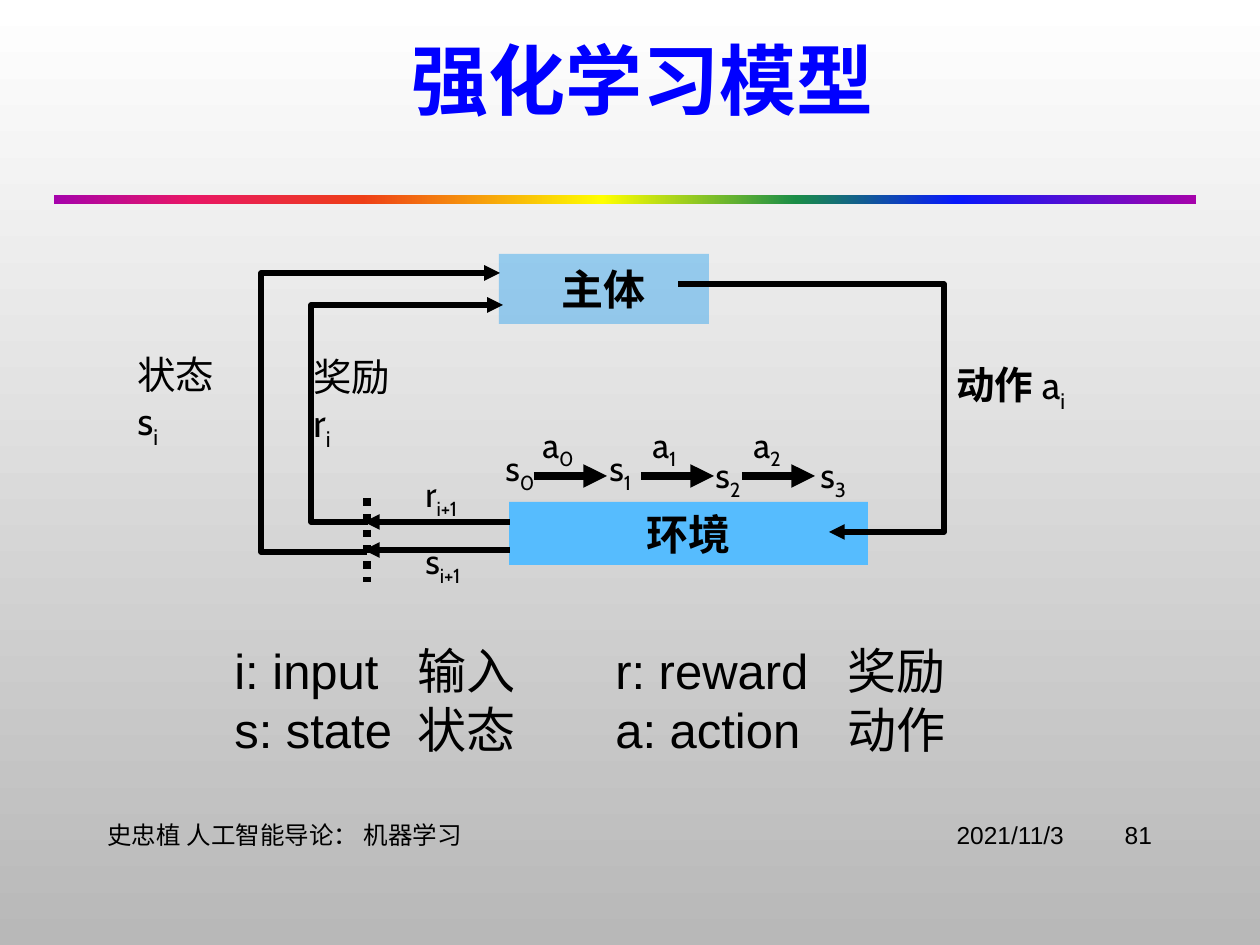
from dataclasses import dataclass

from lxml import etree
from pptx import Presentation
from pptx.dml.color import RGBColor
from pptx.enum.dml import MSO_LINE
from pptx.enum.shapes import MSO_CONNECTOR, MSO_SHAPE
from pptx.enum.text import MSO_ANCHOR, MSO_AUTO_SIZE, PP_ALIGN
from pptx.oxml.ns import qn
from pptx.util import Inches, Pt

RECTANGLE = MSO_SHAPE.RECTANGLE
STRAIGHT = MSO_CONNECTOR.STRAIGHT
DOTTED = MSO_LINE.ROUND_DOT
TOP, MIDDLE = MSO_ANCHOR.TOP, MSO_ANCHOR.MIDDLE
LEFT, CENTER, RIGHT = PP_ALIGN.LEFT, PP_ALIGN.CENTER, PP_ALIGN.RIGHT
FIXED = MSO_AUTO_SIZE.NONE
PX = Inches(1) / 126


def emu(pixels):
    return round(pixels * PX)


@dataclass(frozen=True)
class Theme:
    ink: str = "000000"
    title: str = "0000FF"
    agent: str = "2FA3EE"
    environment: str = "56BCFE"
    backdrop: tuple = ((0, "FFFFFF"), (100, "B8B8B8"))
    rainbow: tuple = ((0, "A603AB"), (12, "E81766"), (27, "EE3F17"), (48, "FFFF00"),
                      (65, "1A8D48"), (79, "0819FB"), (100, "A603AB"))
    heading_font: str = "Noto Sans CJK SC"
    body_font: str = "Arial"
    label_font: str = "Cabin"
    title_size: int = 44
    legend_size: int = 28
    node_size: int = 24
    signal_size: int = 22
    symbol_size: int = 20
    footer_size: int = 14
    thin: float = 3
    thick: float = 4.5


class SlideBuilder:
    """Draws styled elements on the current slide, in pixels."""

    def __init__(self, page, theme):
        self.page = page
        self.theme = theme

    def gradient(self, owner, fill, stops, angle):
        fill.gradient()
        fill.gradient_angle = angle
        stop_list = next(owner.element.iter(qn("a:gsLst")))
        stop_list.clear()
        for position, color in stops:
            stop = etree.SubElement(stop_list, qn("a:gs"), pos=str(position * 1000))
            etree.SubElement(stop, qn("a:srgbClr"), val=color)

    def background(self):
        self.gradient(self.page, self.page.background.fill, self.theme.backdrop, 270)

    def span(self, para, text, size, font, color=None, bold=False, subscript=False):
        span = para.add_run()
        span.text = text
        span.font.size = Pt(size)
        span.font.bold = bold
        span.font.color.rgb = RGBColor.from_string(color or self.theme.ink)
        span.font.name = font
        properties = span.font._element
        etree.SubElement(properties, qn("a:ea"), typeface=self.theme.heading_font)
        if subscript:
            properties.set("baseline", "-25000")

    def title(self, text, left, top, width, height):
        box = self.page.shapes.title
        box.left, box.top, box.width, box.height = map(emu, (left, top, width, height))
        frame = box.text_frame
        frame.auto_size = FIXED
        frame.word_wrap = False
        frame.vertical_anchor = TOP
        para = frame.paragraphs[0]
        para.alignment = LEFT
        self.span(para, text, self.theme.title_size, self.theme.heading_font,
                  self.theme.title, bold=True)

    def text_box(self, left, top, width, height, anchor=TOP, right_inset=13):
        box = self.page.shapes.add_textbox(*map(emu, (left, top, width, height)))
        frame = box.text_frame
        frame.word_wrap = True
        frame.vertical_anchor = anchor
        frame.margin_right = emu(right_inset)
        return frame

    def footer(self, text, left, width, alignment):
        para = self.text_box(left, 810, width, 50, MIDDLE).paragraphs[0]
        para.alignment = alignment
        self.span(para, text, self.theme.footer_size, self.theme.body_font)

    def legend(self, rows, left, top, width, height, stops):
        frame = self.text_box(left, top, width, height)
        for index, row in enumerate(rows):
            para = frame.add_paragraph() if index else frame.paragraphs[0]
            para.alignment = LEFT
            tabs = etree.SubElement(para._p.get_or_add_pPr(), qn("a:tabLst"))
            for stop in stops:
                etree.SubElement(tabs, qn("a:tab"), pos=str(emu(stop)), algn="l")
            self.span(para, "\t".join(row), self.theme.legend_size, self.theme.body_font)

    def label(self, symbol, index, left, top, width, height=54, size=None,
              lead="", right_inset=0):
        size = size or self.theme.symbol_size
        font = self.theme.label_font
        para = self.text_box(left, top, width, height,
                             right_inset=right_inset).paragraphs[0]
        if lead:
            self.span(para, lead, size, font, bold=True)
        self.span(para, symbol, size, font)
        self.span(para, index, size, font, subscript=True)

    def rectangle(self, left, top, width, height):
        box = self.page.shapes.add_shape(RECTANGLE, *map(emu, (left, top, width, height)))
        box.shadow.inherit = False
        box.line.fill.background()
        return box

    def rainbow_rule(self, left, top, width, height):
        box = self.rectangle(left, top, width, height)
        self.gradient(box, box.fill, self.theme.rainbow, 0)

    def node(self, text, left, top, width, height, color, font, opacity=100):
        box = self.rectangle(left, top, width, height)
        box.fill.solid()
        box.fill.fore_color.rgb = RGBColor.from_string(color)
        if opacity < 100:
            tint = next(box.element.iter(qn("a:srgbClr")))
            etree.SubElement(tint, qn("a:alpha"), val=str(opacity * 1000))
        frame = box.text_frame
        frame.word_wrap = False
        frame.vertical_anchor = MIDDLE
        para = frame.paragraphs[0]
        para.alignment = CENTER
        self.span(para, text, self.theme.node_size, font, bold=True)

    def stroke(self, item, weight, arrow):
        item.line.color.rgb = RGBColor.from_string(self.theme.ink)
        item.line.width = Pt(weight)
        if arrow:
            outline = next(item.element.iter(qn("a:ln")))
            etree.SubElement(outline, qn("a:tailEnd"), type="triangle")

    def line(self, start, end, weight, arrow=True, dash=None):
        item = self.page.shapes.add_connector(STRAIGHT, *map(emu, start + end))
        if dash:
            item.line.dash_style = dash
        self.stroke(item, weight, arrow)
        etree.SubElement(item.element.spPr, qn("a:effectLst"))

    def route(self, start, *corners):
        builder = self.page.shapes.build_freeform(*start, scale=PX)
        builder.add_line_segments(corners, close=False)
        item = builder.convert_to_shape()
        item.shadow.inherit = False
        item.fill.background()
        self.stroke(item, self.theme.thin, arrow=True)


def main():
    deck = Presentation()
    deck.slide_width, deck.slide_height = Inches(10), Inches(7.5)
    theme = Theme()
    slide = SlideBuilder(deck.slides.add_slide(deck.slide_layouts[5]), theme)

    slide.background()
    slide.rainbow_rule(54, 195, 1142, 9)
    slide.title("强化学习模型", 399, 26, 493, 106)
    slide.footer("2021/11/3", 794, 283, RIGHT)
    slide.footer("史忠植 人工智能导论： 机器学习", 95, 689, LEFT)
    slide.footer("81", 1086, 79, RIGHT)

    slide.node("主体", 499, 254, 210, 70, theme.agent, theme.body_font, opacity=46)
    slide.node("环境", 509, 502, 359, 63, theme.environment, theme.label_font)
    slide.legend((("i: input", "输入", "r: reward", "奖励"),
                  ("s: state", "状态", "a: action", "动作")),
                 222, 634, 808, 191, (183, 381, 613))

    slide.label("状态 s", "i", 125, 345, 137, 59, theme.signal_size, right_inset=40)
    slide.label("奖励 r", "i", 301, 347, 134, 59, theme.signal_size, right_inset=36)
    slide.label("a", "i", 944, 355, 242, 59, theme.signal_size, lead="动作 ")
    slide.label("s", "i+1", 413, 533, 89)
    slide.label("r", "i+1", 413, 466, 89)

    slide.route((367, 552), (261, 552), (261, 273), (500, 273))
    slide.route((368, 522), (311, 522), (311, 305), (503, 305))
    slide.route((829, 284), (944, 284), (944, 532), (829, 532))
    slide.line((829, 284), (678, 284), theme.thin, arrow=False)
    slide.line((367, 498), (367, 582), theme.thick, arrow=False, dash=DOTTED)
    for y in (550, 522):
        slide.line((510, y), (364, y), theme.thin)

    for index, (action_left, arrow_left) in enumerate(((530, 534), (640, 641), (741, 742))):
        slide.label("a", str(index), action_left, 417, 57)
        slide.line((arrow_left, 476), (arrow_left + 73, 476), theme.thick)
    for index, (left, top) in enumerate(((493, 440), (597, 440), (703, 447), (808, 447))):
        slide.label("s", str(index), left, top, 63)

    deck.save("out.pptx")


if __name__ == "__main__":
    main()
